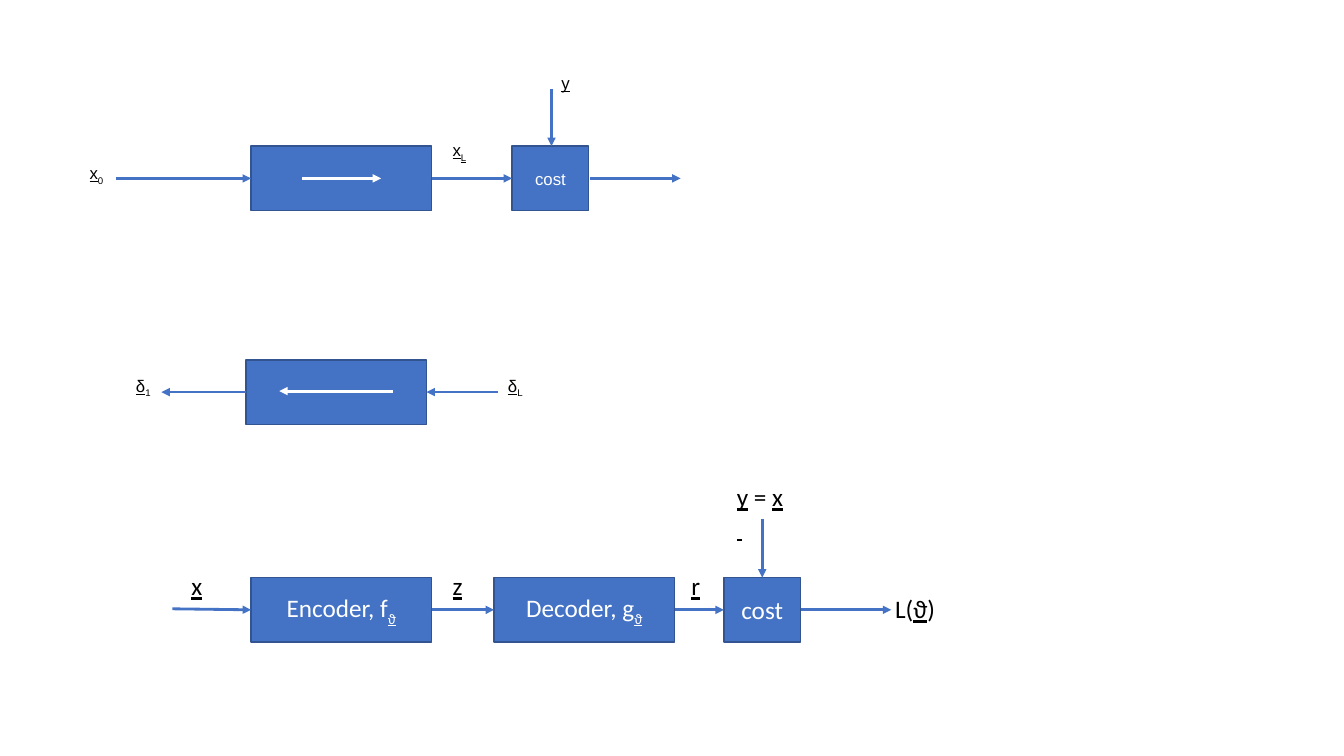
from typing import NamedTuple

from lxml import etree
from pptx import Presentation
from pptx.dml.color import RGBColor
from pptx.enum.shapes import MSO_CONNECTOR, MSO_SHAPE
from pptx.enum.text import MSO_ANCHOR, MSO_AUTO_SIZE, PP_ALIGN
from pptx.oxml.ns import qn
from pptx.slide import Slide
from pptx.text.text import TextFrame
from pptx.util import Pt

PX = 9144  # EMU per px, 100 px to the inch
RECT = MSO_SHAPE.RECTANGLE
STRAIGHT = MSO_CONNECTOR.STRAIGHT
MIDDLE = MSO_ANCHOR.MIDDLE
CENTER = PP_ALIGN.CENTER
GROW = MSO_AUTO_SIZE.SHAPE_TO_FIT_TEXT

COLORS = {"blue": "4472C4", "edge": "325491", "white": "FFFFFF", "black": "000000"}
SIZES = {"Arial": 12, "Calibri": 18}
WIDE, SMALL, HIGH = 179, 76, 64


class Bit(NamedTuple):
    text: str
    under: bool = False
    sub: bool = False


class Block(NamedTuple):
    left: int
    top: int
    width: int
    bits: tuple[Bit, ...] = ()
    face: str = "Calibri"


class Label(NamedTuple):
    left: int
    top: int
    width: int
    height: int
    face: str
    lines: tuple[tuple[Bit, ...], ...]


class Arrow(NamedTuple):
    x1: int
    y1: int
    x2: int
    y2: int
    color: str = "blue"


THETA = Bit("ϑ", True, True)
COST = (Bit("cost"),)

BLOCKS = [
    Block(249, 145, WIDE),
    Block(508, 145, SMALL, COST, "Arial"),
    Block(244, 357, WIDE),
    Block(249, 573, WIDE, (Bit("Encoder, f"), THETA)),
    Block(490, 573, WIDE, (Bit("Decoder, g"), THETA)),
    Block(718, 573, SMALL, COST),
]

ARROWS = [
    # forward pass
    Arrow(115, 177, 249, 177),
    Arrow(428, 177, 508, 177),
    Arrow(300, 177, 378, 177, "white"),
    Arrow(547, 88, 547, 145),
    Arrow(585, 177, 675, 177),
    # backward pass
    Arrow(244, 389, 160, 389),
    Arrow(494, 389, 423, 389),
    Arrow(390, 388, 277, 388, "white"),
    # autoencoder
    Arrow(171, 604, 249, 605),
    Arrow(428, 605, 490, 605),
    Arrow(669, 605, 718, 605),
    Arrow(756, 515, 756, 573),
    Arrow(794, 605, 884, 605),
]

LABELS = [
    Label(79, 157, 46, 30, "Arial", ((Bit("x", True), Bit("0", sub=True)),)),
    Label(439, 134, 46, 30, "Arial", ((Bit("x", True), Bit("L", True, True)),)),
    Label(547, 67, 46, 30, "Arial", ((Bit("y", True),),)),
    Label(125, 368, 46, 30, "Arial", ((Bit("δ", True), Bit("1", sub=True)),)),
    Label(494, 368, 46, 30, "Arial", ((Bit("δ", True), Bit("L", sub=True)),)),
    Label(180, 561, 46, 41, "Calibri", ((Bit("x", True),),)),
    Label(439, 561, 46, 41, "Calibri", ((Bit("z", True),),)),
    Label(676, 561, 245, 40, "Calibri", ((Bit("r", True),),)),
    # the second line shows as a short underline
    Label(721, 473, 71, 71, "Calibri",
          ((Bit("y", True), Bit(" = "), Bit("x", True)), (Bit(" ", True),))),
    Label(878, 584, 64, 40, "Calibri", ((Bit("L("), Bit("ϑ", True), Bit(")")),)),
]


def rgb(name: str) -> RGBColor:
    return RGBColor.from_string(COLORS[name])


def write(frame: TextFrame, lines: tuple[tuple[Bit, ...], ...],
          face: str, color: str) -> None:
    frame.word_wrap = True
    for i, bits in enumerate(lines):
        para = frame.paragraphs[0] if i == 0 else frame.add_paragraph()
        for bit in bits:
            run = para.add_run()
            run.text = bit.text
            font = run.font
            font.name, font.size = face, Pt(SIZES[face])
            font.color.rgb = rgb(color)
            font.underline = bit.under
            if bit.sub:
                run._r.get_or_add_rPr().set("baseline", "-25000")


def add_block(slide: Slide, block: Block) -> None:
    box = slide.shapes.add_shape(
        RECT, block.left * PX, block.top * PX, block.width * PX, HIGH * PX)
    box.shadow.inherit = False
    box.fill.solid()
    box.fill.fore_color.rgb = rgb("blue")
    box.line.color.rgb = rgb("edge")
    box.line.width = Pt(1)
    if block.bits:
        frame = box.text_frame
        write(frame, (block.bits,), block.face, "white")
        frame.vertical_anchor = MIDDLE
        frame.paragraphs[0].alignment = CENTER


def add_arrow(slide: Slide, arrow: Arrow) -> None:
    line = slide.shapes.add_connector(
        STRAIGHT, arrow.x1 * PX, arrow.y1 * PX, arrow.x2 * PX, arrow.y2 * PX)
    line.line.color.rgb = rgb(arrow.color)
    line.line.width = Pt(2)
    props = line._element.spPr
    etree.SubElement(props.find(qn("a:ln")), qn("a:tailEnd"), type="triangle")
    etree.SubElement(props, qn("a:effectLst"))


def add_label(slide: Slide, label: Label) -> None:
    box = slide.shapes.add_textbox(
        label.left * PX, label.top * PX, label.width * PX, label.height * PX)
    write(box.text_frame, label.lines, label.face, "black")
    box.text_frame.auto_size = GROW


def main() -> None:
    deck = Presentation()
    deck.slide_width, deck.slide_height = 1333 * PX, 750 * PX
    slide = deck.slides.add_slide(deck.slide_layouts[6])
    for block in BLOCKS:
        add_block(slide, block)
    for arrow in ARROWS:
        add_arrow(slide, arrow)
    for label in LABELS:
        add_label(slide, label)
    deck.save("out.pptx")


if __name__ == "__main__":
    main()
